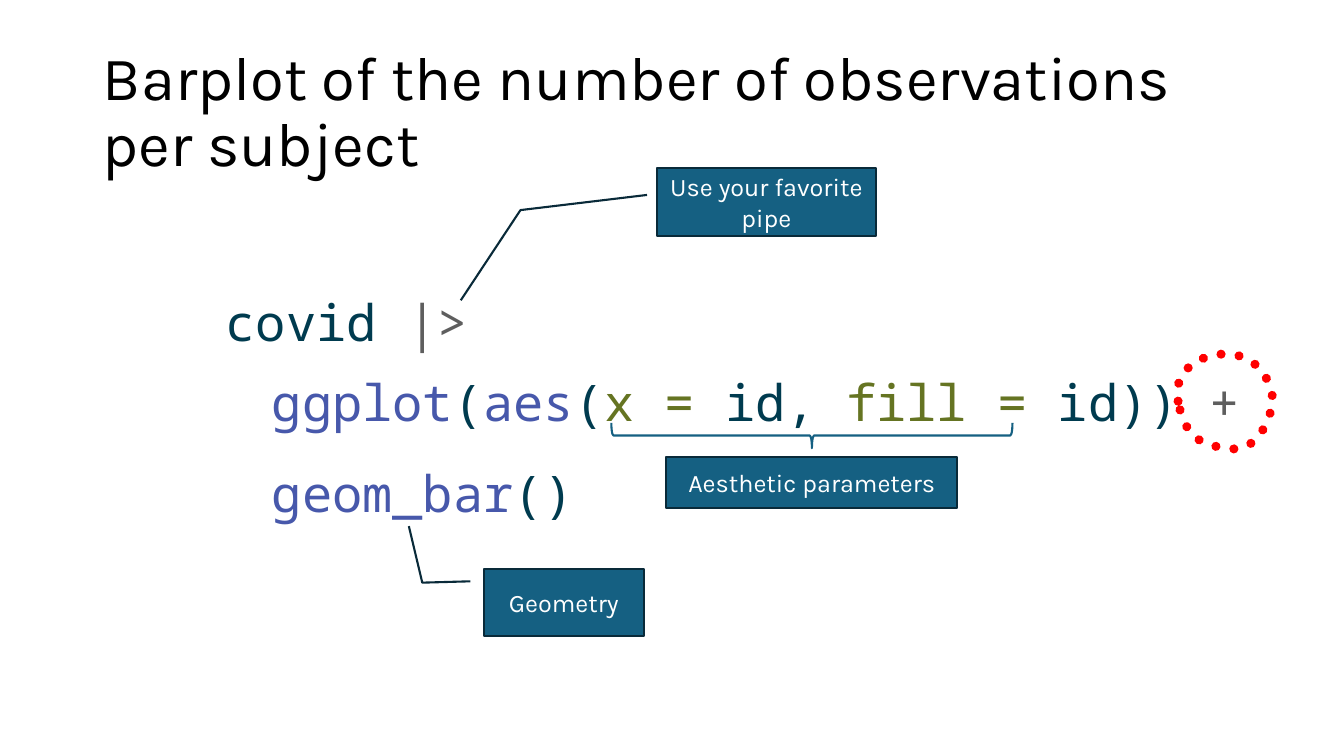
"""Build the slide that explains a ggplot bar plot, call by call."""
from dataclasses import dataclass
from typing import Any

from pptx import Presentation
from pptx.dml.color import RGBColor
from pptx.enum.dml import MSO_LINE
from pptx.enum.shapes import MSO_SHAPE
from pptx.enum.text import MSO_ANCHOR, MSO_AUTO_SIZE, PP_ALIGN
from pptx.util import Cm, Pt

BLACK = RGBColor(0x00, 0x00, 0x00)
WHITE = RGBColor(0xFF, 0xFF, 0xFF)
RED = RGBColor(0xFF, 0x00, 0x00)
BLUE = RGBColor(0x15, 0x60, 0x82)
DARK_BLUE = RGBColor(0x09, 0x2A, 0x39)
NAME_COLOR = RGBColor(0x00, 0x3B, 0x4F)
FUNCTION_COLOR = RGBColor(0x47, 0x58, 0xAB)
ARGUMENT_COLOR = RGBColor(0x65, 0x74, 0x22)
OPERATOR_COLOR = RGBColor(0x5E, 0x5E, 0x5E)

TITLE_FONT = {"name": "Karla", "size": Pt(44)}
LABEL_FONT = {"name": "Karla", "size": Pt(18)}
CODE_FONT = {"name": "Noto Sans Mono", "size": Pt(36)}
TITLE_FRAME = {"word_wrap": True, "vertical_anchor": MSO_ANCHOR.MIDDLE, "auto_size": MSO_AUTO_SIZE.NONE}
LABEL_FRAME = {"word_wrap": True, "vertical_anchor": MSO_ANCHOR.MIDDLE}
CODE_FRAME = {"word_wrap": True, "auto_size": MSO_AUTO_SIZE.SHAPE_TO_FIT_TEXT}

Point = tuple[float, float]


@dataclass(frozen=True)
class Box:
    """A place on the page in centimetres."""
    left: float
    top: float
    width: float
    height: float

    def lengths(self) -> list[Cm]:
        """Return the four lengths in drawing order."""
        return [Cm(value) for value in (self.left, self.top, self.width, self.height)]


@dataclass(frozen=True)
class Label:
    """A filled label, with a leader line when it has adjustments."""
    text: str
    box: Box
    leader: tuple[float, ...] = ()


@dataclass(frozen=True)
class CodeLine:
    """One line of code as coloured spans."""
    box: Box
    spans: tuple[tuple[str, RGBColor], ...]


LABELS = (
    Label("Use your favorite pipe", Box(16.56, 4.24, 5.51, 1.7), (0.396, -0.046, 0.621, -0.625, 1.958, -0.898)),
    Label("Aesthetic parameters", Box(16.79, 11.51, 7.34, 1.3)),
    Label("Geometry", Box(12.19, 14.33, 4.04, 1.7), (0.188, -0.083, 0.208, -0.383, -0.63, -0.467)),
)
CODE_LINES = (
    CodeLine(Box(5.44, 7.21, 8.76, 1.8), (("covid ", NAME_COLOR), ("|>", OPERATOR_COLOR))),
    CodeLine(Box(6.6, 9.22, 25.4, 1.8), (
        ("ggplot", FUNCTION_COLOR), ("(", NAME_COLOR), ("aes", FUNCTION_COLOR), ("(", NAME_COLOR),
        ("x = ", ARGUMENT_COLOR), ("id, ", NAME_COLOR), ("fill =", ARGUMENT_COLOR),
        (" id)) ", NAME_COLOR), ("+", OPERATOR_COLOR))),
    CodeLine(Box(6.6, 11.51, 16.94, 1.8), (("geom_bar", FUNCTION_COLOR), ("()", NAME_COLOR))),
)
BRACE_BOX = Box(20.14, 5.92, 0.64, 10.11)
RING_START = (29.69, 10.11)
RING_CURVES = (
    ((29.54, 9.35), (30.23, 8.92), (30.89, 8.92)),
    ((31.57, 8.92), (32.03, 9.45), (32.08, 10.11)),
    ((31.95, 10.87), (31.5, 11.46), (30.89, 11.28)),
    ((30.12, 11.23), (29.82, 10.82), RING_START),
)
CURVE_STEPS = 16


def apply_format(target: Any, values: dict[str, Any]) -> None:
    """Set every format value on the target."""
    for name, value in values.items():
        setattr(target, name, value)


def add_span(para: Any, text: str, font: dict[str, Any], color: RGBColor) -> None:
    """Append a formatted span of text to a paragraph."""
    span = para.add_run()
    span.text = text
    apply_format(span.font, font)
    span.font.color.rgb = color


def set_line(shape: Any, color: RGBColor, width: float) -> None:
    """Give a shape a plain outline without a shadow."""
    shape.shadow.inherit = False
    shape.line.color.rgb = color
    shape.line.width = Pt(width)


def fill_title(page: Any) -> None:
    """Place and write the title."""
    title = page.shapes.title
    apply_format(title, dict(zip(("left", "top", "width", "height"), Box(2.34, 1.02, 29.21, 3.68).lengths())))
    apply_format(title.text_frame, TITLE_FRAME)
    para = title.text_frame.paragraphs[0]
    apply_format(para, {"alignment": PP_ALIGN.LEFT, "line_spacing": 0.9})
    add_span(para, "Barplot of the number of observations per subject", TITLE_FONT, BLACK)


def add_label(page: Any, label: Label) -> None:
    """Draw a label and its leader line."""
    kind = MSO_SHAPE.LINE_CALLOUT_2 if label.leader else MSO_SHAPE.RECTANGLE
    shape = page.shapes.add_shape(kind, *label.box.lengths())
    for index, value in enumerate(label.leader):
        shape.adjustments[index] = value
    shape.fill.solid()
    shape.fill.fore_color.rgb = BLUE
    set_line(shape, DARK_BLUE, 1.5)
    apply_format(shape.text_frame, LABEL_FRAME)
    para = shape.text_frame.paragraphs[0]
    para.alignment = PP_ALIGN.CENTER
    add_span(para, label.text, LABEL_FONT, WHITE)


def add_code_line(page: Any, line: CodeLine) -> None:
    """Write one line of coloured code."""
    box = page.shapes.add_textbox(*line.box.lengths())
    apply_format(box.text_frame, CODE_FRAME)
    for text, color in line.spans:
        add_span(box.text_frame.paragraphs[0], text, CODE_FONT, color)


def add_brace(page: Any) -> None:
    """Draw the brace under the aesthetic parameters."""
    brace = page.shapes.add_shape(MSO_SHAPE.RIGHT_BRACE, *BRACE_BOX.lengths())
    brace.rotation = 90
    brace.fill.background()
    set_line(brace, BLUE, 1.5)


def curve_point(points: tuple[Point, ...], step: float) -> Point:
    """Return the point at a share of a cubic curve."""
    rest = 1 - step
    weights = (rest ** 3, 3 * rest ** 2 * step, 3 * rest * step ** 2, step ** 3)
    x, y = (sum(w * value for w, value in zip(weights, axis)) for axis in zip(*points))
    return Cm(x), Cm(y)


def add_ring(page: Any) -> None:
    """Draw the dotted ring around the plus sign."""
    starts = (RING_START, *(curve[-1] for curve in RING_CURVES))
    points = [curve_point((start, *curve), step / CURVE_STEPS)
              for start, curve in zip(starts, RING_CURVES) for step in range(1, CURVE_STEPS + 1)]
    builder = page.shapes.build_freeform(*(Cm(value) for value in RING_START))
    builder.add_line_segments(points, close=True)
    ring = builder.convert_to_shape()
    ring.fill.background()
    set_line(ring, RED, 6.5)
    ring.line.dash_style = MSO_LINE.ROUND_DOT
    ring.line._get_or_add_ln().set("cap", "rnd")


def main() -> None:
    """Build and save the deck."""
    deck = Presentation()
    deck.slide_width, deck.slide_height = Cm(33.87), Cm(19.05)
    page = deck.slides.add_slide(deck.slide_layouts[5])
    fill_title(page)
    for label in LABELS:
        add_label(page, label)
    add_brace(page)
    for line in CODE_LINES:
        add_code_line(page, line)
    add_ring(page)
    deck.save("out.pptx")


if __name__ == "__main__":
    main()
